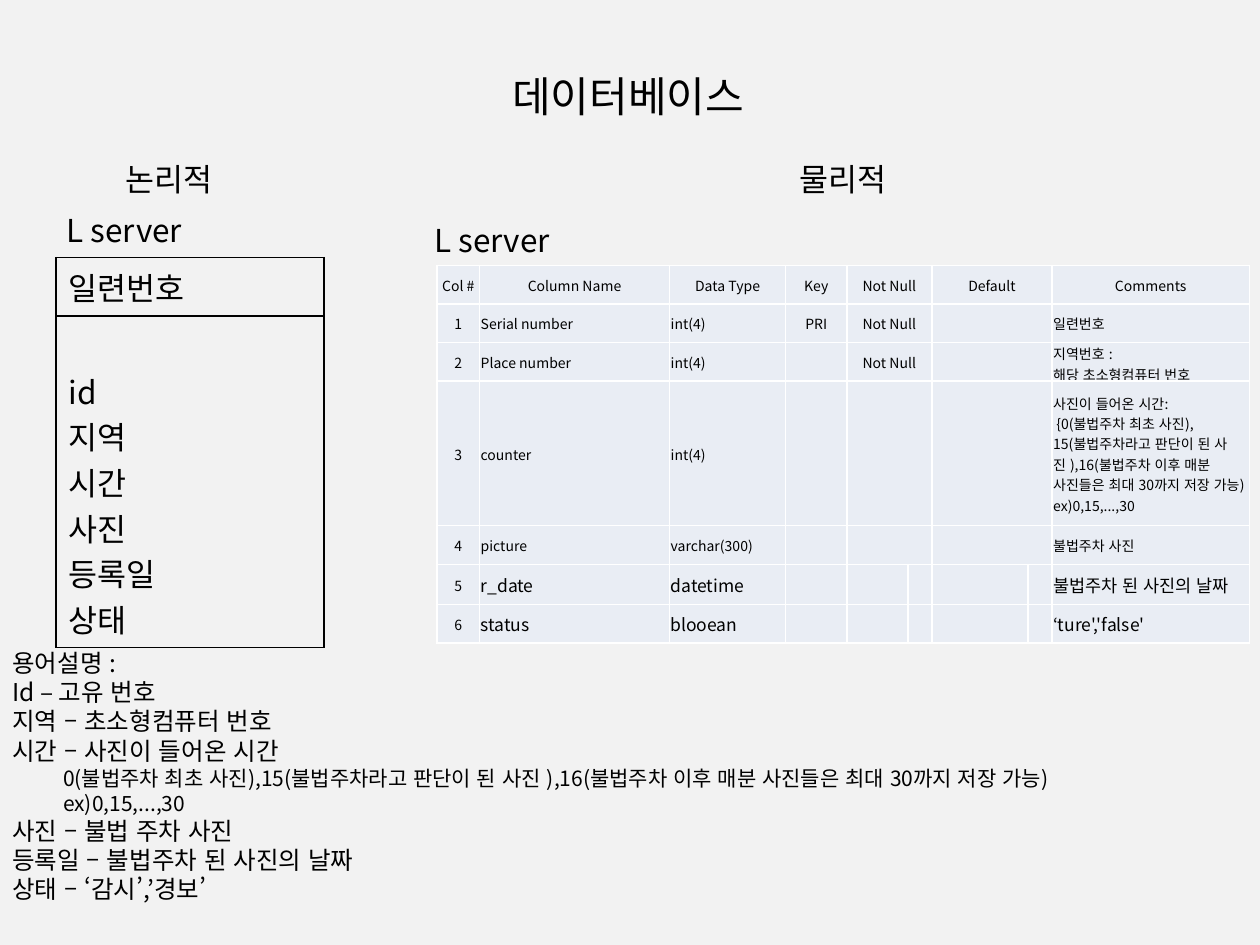
from lxml import etree
from pptx import Presentation
from pptx.dml.color import RGBColor
from pptx.enum import lang, text
from pptx.oxml.ns import qn
from pptx.util import Pt

FONT = "Noto Sans CJK KR"
COLORS = {"background": "F2F2F2", "ink": "000000", "cell": "E9EDF4", "rule": "FFFFFF"}
CENTER, LEFT = text.PP_ALIGN.CENTER, text.PP_ALIGN.LEFT

# text, left, top, width, height, size, alignment
HEADINGS = [
    ("L server", 31, 117, 153.4, 29, 18, LEFT),
    ("데이터베이스", 35, 9.4, 648, 90, 24, CENTER),
    ("논리적", 19.8, 87.8, 153.4, 29, 18, CENTER),
    ("물리적", 405, 87.8, 153.4, 29, 18, CENTER),
    ("L server", 241.2, 122.7, 153.4, 29, 18, LEFT),
]
TITLE = "데이터베이스"

LOGICAL_KEY = "일련번호"
LOGICAL_FIELDS = ["id", "지역", "시간", "사진", "등록일", "상태"]

GLOSSARY = [
    "용어설명 :",
    "Id – 고유 번호",
    "지역 – 초소형컴퓨터 번호",
    "시간 – 사진이 들어온 시간",
    "사진 – 불법 주차 사진",
    "등록일 – 불법주차 된 사진의 날짜",
    "상태 – ‘감시’,’경보’",
]
TIME_DETAILS = [
    "0(불법주차 최초 사진),15(불법주차라고 판단이 된 사진 ),"
    "16(불법주차 이후 매분 사진들은 최대 30까지 저장 가능)",
    "ex)0,15,...,30",
]
DETAILS_AFTER = 4

PHYSICAL = [
    ("Col #", "Column Name", "Data Type", "Key", "Not Null", "Default", "Comments"),
    ("1", "Serial number", "int(4)", "PRI", "Not Null", "", "일련번호"),
    ("2", "Place number", "int(4)", "", "Not Null", "", "지역번호 : \n해당 초소형컴퓨터 번호"),
    ("3", "counter", "int(4)", "", "", "",
     "사진이 들어온 시간:\n {0(불법주차 최초 사진),15(불법주차라고 판단이 된 사진 ),"
     "16(불법주차 이후 매분 사진들은 최대 30까지 저장 가능)\nex)0,15,...,30"),
    ("4", "picture", "varchar(300)", "", "", "", "불법주차 사진"),
    ("5", "r_date", "datetime", "", "", "", "불법주차 된 사진의 날짜"),
    ("6", "status", "blooean", "", "", "", "‘ture','false'"),
]
FIELD_COLUMNS = (0, 1, 2, 3, 4, 6, 8)
CENTERED_FIELDS = (0, 3, 4, 5)
SPLIT_COLUMNS = (4, 6)
FIRST_SPLIT_ROW = 5
COLUMN_WIDTHS = (24.3, 108.6, 66.3, 35, 34.9, 13.7, 55, 13.7, 112.8)
ROW_HEIGHTS = (22.1, 22.1, 22.1, 82.6, 22.1, 22.9, 22.1)


def rgb(name):
    return RGBColor.from_string(COLORS[name])


def write(frame, lines, size=18, align=LEFT, indents=None, small=None):
    """Fill a frame with lines; indents and small map a line number to its indent and size."""
    for i, line in enumerate(lines):
        paragraph = frame.paragraphs[0] if i == 0 else frame.add_paragraph()
        paragraph.alignment = align
        if indents and i in indents:
            paragraph._p.get_or_add_pPr().set("marL", str(Pt(indents[i])))
        if not line:
            paragraph._p.get_or_add_endParaRPr().set("sz", str(size * 100))
            continue
        run = paragraph.add_run()
        run.text = line
        run.font.size = Pt((small or {}).get(i, size))
        run.font.name = FONT
        run.font.language_id = lang.MSO_LANGUAGE_ID.KOREAN
        run.font.color.rgb = rgb("ink")
        etree.SubElement(run.font._element, qn("a:ea"), typeface=FONT)


def add_text(slide, lines, box, grow=True, **format):
    frame = slide.shapes.add_textbox(*map(Pt, box)).text_frame
    frame.word_wrap = True
    if grow:
        frame.auto_size = text.MSO_AUTO_SIZE.SHAPE_TO_FIT_TEXT
    else:
        frame.vertical_anchor = text.MSO_ANCHOR.MIDDLE
    write(frame, lines, **format)


def add_grid(slide, left, top, widths, heights, border, fill=None):
    table = slide.shapes.add_table(
        len(heights), len(widths), Pt(left), Pt(top), Pt(sum(widths)), Pt(sum(heights))
    ).table
    table.first_row = table.horz_banding = False
    for column, width in zip(table.columns, widths):
        column.width = Pt(width)
    for row, height in zip(table.rows, heights):
        row.height = Pt(height)
    for cell in (cell for row in table.rows for cell in row.cells):
        properties = cell._tc.get_or_add_tcPr()
        for side in ("lnL", "lnR", "lnT", "lnB"):
            line = etree.SubElement(properties, qn(f"a:{side}"), w=str(Pt(1)))
            solid = etree.SubElement(line, qn("a:solidFill"))
            etree.SubElement(solid, qn("a:srgbClr"), val=COLORS[border])
        if fill:
            cell.fill.solid()
            cell.fill.fore_color.rgb = rgb(fill)
        else:
            cell.fill.background()
    return table


def add_logical_table(slide):
    table = add_grid(slide, 31.9, 147.2, [153.4], [33, 189], "ink")
    write(table.cell(0, 0).text_frame, [LOGICAL_KEY])
    fields = table.cell(1, 0)
    fields.margin_top = Pt(29.7)
    write(fields.text_frame, LOGICAL_FIELDS)


def add_physical_table(slide):
    table = add_grid(slide, 249.8, 151.6, COLUMN_WIDTHS, ROW_HEIGHTS, "rule", "cell")
    for r, record in enumerate(PHYSICAL):
        values = dict(zip(FIELD_COLUMNS, record))
        for c in range(len(COLUMN_WIDTHS)):
            cell = table.cell(r, c)
            cell.margin_left = cell.margin_right = cell.margin_top = Pt(0.6)
            cell.margin_bottom = 0
            cell.vertical_anchor = text.MSO_ANCHOR.MIDDLE
            value = values.get(c, "")
            centered = r == 0 or c in [FIELD_COLUMNS[f] for f in CENTERED_FIELDS]
            large = r >= FIRST_SPLIT_ROW and c > 0 and value
            write(cell.text_frame, value.split("\n"), size=10 if large else 8,
                  align=CENTER if centered else LEFT)
        if r < FIRST_SPLIT_ROW:
            for c in SPLIT_COLUMNS:
                table.cell(r, c).merge(table.cell(r, c + 1))


def main():
    deck = Presentation()
    deck.slide_width, deck.slide_height = Pt(720), Pt(540)
    slide = deck.slides.add_slide(deck.slide_layouts[6])
    slide.background.fill.solid()
    slide.background.fill.fore_color.rgb = rgb("background")

    add_logical_table(slide)
    detail_lines = range(DETAILS_AFTER, DETAILS_AFTER + len(TIME_DETAILS))
    add_text(slide, GLOSSARY[:DETAILS_AFTER] + TIME_DETAILS + GLOSSARY[DETAILS_AFTER:],
             (0, 366.5, 720, 179.3), size=14,
             indents=dict.fromkeys(detail_lines, 29), small=dict.fromkeys(detail_lines, 12))
    for heading, *box, size, align in HEADINGS:
        add_text(slide, [heading], box, grow=heading != TITLE, size=size, align=align)
    add_physical_table(slide)
    deck.save("out.pptx")


if __name__ == "__main__":
    main()
